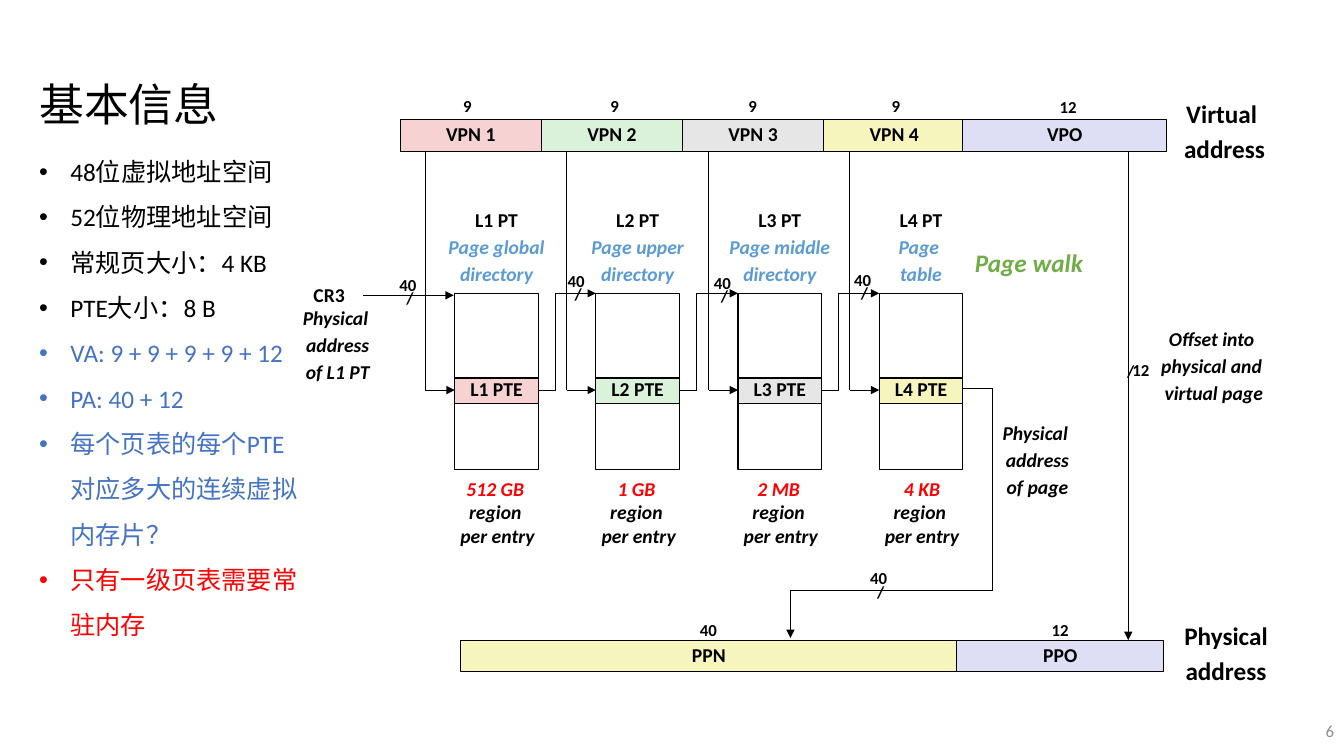
"""Builds the slide on four-level page table address translation."""
from dataclasses import dataclass

from lxml import etree
from pptx import Presentation
from pptx.dml.color import RGBColor
from pptx.enum import shapes, text
from pptx.oxml import ns
from pptx.util import Inches, Pt

BLACK = RGBColor(0x00, 0x00, 0x00)
WHITE = RGBColor(0xFF, 0xFF, 0xFF)
GRAY = RGBColor(0x8C, 0x8C, 0x8C)
RED = RGBColor(0xFF, 0x00, 0x00)
BLUE = RGBColor(0x44, 0x72, 0xC4)
SKY = RGBColor(0x5B, 0x9B, 0xD5)
GREEN = RGBColor(0x70, 0xAD, 0x47)
PALE_RED = RGBColor(0xF6, 0xD2, 0xD2)
PALE_GREEN = RGBColor(0xDB, 0xF2, 0xDA)
PALE_GRAY = RGBColor(0xE6, 0xE6, 0xE6)
PALE_YELLOW = RGBColor(0xF6, 0xF5, 0xBD)
PALE_BLUE = RGBColor(0xDE, 0xDF, 0xF5)

LEFT, CENTER, RIGHT = text.PP_ALIGN.LEFT, text.PP_ALIGN.CENTER, text.PP_ALIGN.RIGHT
VPN_LEFT, VPN_STEP, VPN_TOP, BAR_H = 3.97, 1.4, 1.19, 0.31
PT_W, PT_TOP, PT_H = 0.83, 2.91, 1.75
PTE_TOP, PTE_H, PTE_MID = 3.75, 0.25, 3.87
PA_TOP = 6.35


@dataclass
class Line:
    text: str
    color: RGBColor = BLACK
    italic: bool = False


@dataclass
class Label:
    x: float
    y: float
    w: float
    h: float
    lines: list[Line]
    size: int = 14
    bold: bool = True
    align: text.PP_ALIGN = CENTER
    spacing: float = 0.9
    before: float = 0.3
    wrap: bool = False


@dataclass
class Level:
    x: float
    bits_x: float
    fill: RGBColor
    name_w: float
    name: tuple[str, str]
    region: str


LEVELS = [
    Level(4.51, 4.49, PALE_RED, 1.21, ("Page global", "directory"), "512 GB "),
    Level(5.91, 5.95, PALE_GREEN, 1.13, ("Page upper", "directory"), "1 GB "),
    Level(7.32, 7.32, PALE_GRAY, 1.26, ("Page middle", "directory"), "2 MB "),
    Level(8.72, 8.74, PALE_YELLOW, 0.67, ("Page ", "table"), "4 KB"),
]
FACTS = [
    Line("48位虚拟地址空间"),
    Line("52位物理地址空间"),
    Line("常规页大小：4 KB"),
    Line("PTE大小：8 B"),
    Line("VA: 9 + 9 + 9 + 9 + 12", BLUE),
    Line("PA: 40 + 12", BLUE),
    Line("每个页表的每个PTE对应多大的连续虚拟内存片？", BLUE),
    Line("只有一级页表需要常驻内存", RED),
]


def plain(*rows: str, italic: bool = False) -> list[Line]:
    return [Line(row, BLACK, italic) for row in rows]


LABELS = [
    Label(3.01, 2.78, 0.51, 0.31, plain("CR3")),
    Label(2.9, 3.01, 0.9, 0.88, plain("Physical ", "address", "of L1 PT", italic=True)),
    Label(9.84, 4.15, 0.9, 0.88, plain("Physical ", "address", "of page", italic=True)),
    Label(11.41, 3.22, 1.26, 0.88,
          plain("Offset into ", "physical and ", "virtual page", italic=True)),
    Label(11.64, 0.96, 1.01, 0.74, plain("Virtual ", "address"), 18),
    Label(11.64, 6.14, 1.04, 0.74, plain("Physical ", "address"), 18),
    Label(9.57, 2.4, 1.29, 0.4, [Line("Page walk", GREEN, True)], 18,
          align=LEFT, spacing=1),
    Label(6.84, 6.12, 0.37, 0.28, plain("40"), 12),
    Label(10.33, 6.12, 0.37, 0.28, plain("12"), 12),
    Label(10.41, 0.93, 0.37, 0.28, plain("12"), 12),
    Label(11.13, 3.54, 0.37, 0.28, plain("12"), 12),
    Label(11.07, 3.53, 0.29, 0.3, plain("/"), 12, spacing=1),
    Label(10.33, 7.1, 3, 0.4, [Line("6", GRAY)], 12, False, RIGHT, 1, wrap=True),
]
FORTY_BITS = [(3.86, 2.7), (5.53, 2.66), (6.98, 2.68), (8.37, 2.65), (8.53, 5.61)]


def write(tf, label: Label, bullets: bool = False) -> None:
    tf.word_wrap = label.wrap
    for i, line in enumerate(label.lines):
        p = tf.paragraphs[0] if i == 0 else tf.add_paragraph()
        if bullets:
            pPr = p._p.get_or_add_pPr()
            pPr.set("marL", str(Inches(0.31)))
            pPr.set("indent", str(Inches(-0.31)))
            etree.SubElement(pPr, ns.qn("a:buFont"), typeface="Arial")
            etree.SubElement(pPr, ns.qn("a:buChar"), char="•")
        p.alignment = label.align
        p.line_spacing = label.spacing
        p.space_before = Pt(label.size * label.before if i else 0)
        r = p.add_run()
        r.text = line.text
        look = {"name": "Calibri", "size": Pt(label.size), "bold": label.bold,
                "italic": line.italic}
        for key, value in look.items():
            setattr(r.font, key, value)
        r.font.color.rgb = line.color


def add_label(s, label: Label, bullets: bool = False) -> None:
    box = (Inches(v) for v in (label.x, label.y, label.w, label.h))
    write(s.shapes.add_textbox(*box).text_frame, label, bullets)


def add_box(s, x: float, y: float, w: float, h: float, fill: RGBColor,
            caption: str = "") -> None:
    sp = s.shapes.add_shape(shapes.MSO_SHAPE.RECTANGLE, *map(Inches, (x, y, w, h)))
    sp.shadow.inherit = False
    sp.fill.solid()
    sp.fill.fore_color.rgb = fill
    sp.line.color.rgb = BLACK
    sp.line.width = Pt(0.75)
    if caption:
        sp.text_frame.vertical_anchor = text.MSO_ANCHOR.MIDDLE
        write(sp.text_frame, Label(x, y, w, h, plain(caption)))


def add_route(s, *points: tuple[float, float]) -> None:
    for i, (start, end) in enumerate(zip(points, points[1:]), 1):
        c = s.shapes.add_connector(shapes.MSO_CONNECTOR.STRAIGHT,
                                   *map(Inches, (*start, *end)))
        c.line.color.rgb = BLACK
        c.line.width = Pt(0.75)
        if i == len(points) - 1:
            etree.SubElement(c.line._get_or_add_ln(), ns.qn("a:tailEnd"), type="triangle")
        etree.SubElement(c._element.spPr, ns.qn("a:effectLst"))


def add_level(s, i: int, lv: Level) -> None:
    add_box(s, VPN_LEFT + i * VPN_STEP, VPN_TOP, VPN_STEP, BAR_H, lv.fill, f"VPN {i + 1}")
    add_box(s, lv.x, PT_TOP, PT_W, PT_H, WHITE)
    add_box(s, lv.x, PTE_TOP, PT_W, PTE_H, lv.fill, f"L{i + 1} PTE")
    add_label(s, Label(lv.bits_x, 0.92, 0.29, 0.28, plain("9"), 12))
    name = [Line(f"L{i + 1} PT")] + [Line(row, SKY, True) for row in lv.name]
    add_label(s, Label(lv.x + (PT_W - lv.name_w) / 2, 2.04, lv.name_w, 0.88, name))
    region = [Line(lv.region, RED, True)] + plain("region ", "per entry", italic=True)
    add_label(s, Label(lv.x - 0.13, 4.68, 1.11, 0.81, region,
                       spacing=1, before=0, wrap=True))
    drop = lv.x - 0.29
    add_route(s, (drop, VPN_TOP + BAR_H), (drop, PTE_MID), (lv.x, PTE_MID))


def main() -> None:
    prs = Presentation()
    prs.slide_width, prs.slide_height = Inches(13.33), Inches(7.5)
    s = prs.slides.add_slide(prs.slide_layouts[5])

    title = s.shapes.title
    place = {"left": 0.29, "top": 0.71, "width": 7.68, "height": 0.64}
    for key, value in place.items():
        setattr(title, key, Inches(value))
    title.text_frame.auto_size = text.MSO_AUTO_SIZE.NONE
    title.text_frame.vertical_anchor = text.MSO_ANCHOR.TOP
    write(title.text_frame, Label(*place.values(), plain("基本信息"), 32, False,
                                  LEFT, 1, wrap=True))
    add_label(s, Label(0.29, 1.35, 2.79, 5.05, FACTS, 18, False, LEFT, 1.5, 0, True),
              bullets=True)

    for i, lv in enumerate(LEVELS):
        add_level(s, i, lv)
    add_box(s, 9.55, VPN_TOP, 2.02, BAR_H, PALE_BLUE, "VPO")
    add_box(s, 4.57, PA_TOP, 4.92, BAR_H, PALE_YELLOW, "PPN")
    add_box(s, 9.49, PA_TOP, 2.05, BAR_H, PALE_BLUE, "PPO")

    for lv, below in zip(LEVELS, LEVELS[1:]):
        riser = lv.x + 1
        add_route(s, (lv.x + PT_W, PTE_MID), (riser, PTE_MID), (riser, PT_TOP),
                  (below.x, PT_TOP))
    add_route(s, (3.6, 2.93), (4.5, 2.93))
    add_route(s, (9.55, 3.85), (9.84, 3.85), (9.84, 5.86), (7.84, 5.86), (7.84, 6.33))
    add_route(s, (11.19, VPN_TOP + BAR_H), (11.19, PA_TOP))

    for label in LABELS:
        add_label(s, label)
    for x, y in FORTY_BITS:
        add_label(s, Label(x, y, 0.37, 0.28, plain("40"), 12))
        add_label(s, Label(x + 0.06, y + 0.11, 0.29, 0.3, plain("/"), 12, spacing=1))
    prs.save("out.pptx")


if __name__ == "__main__":
    main()
